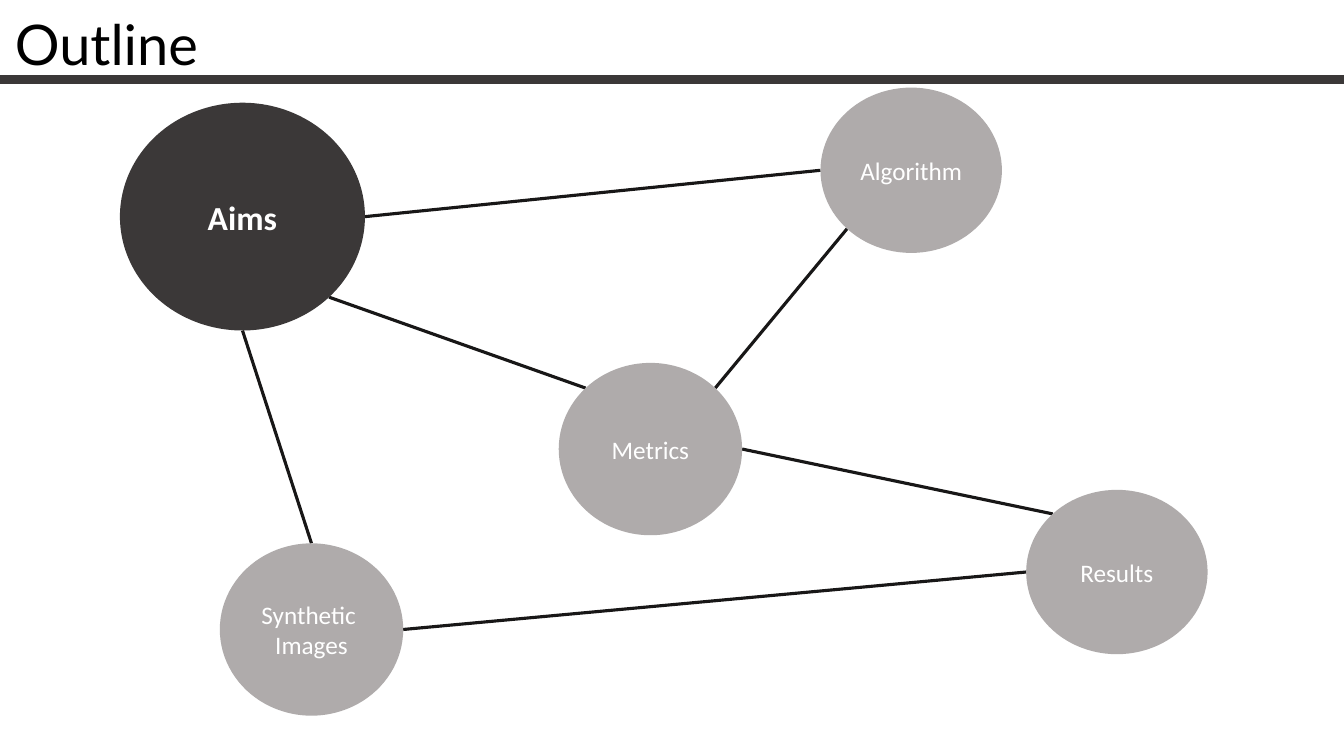
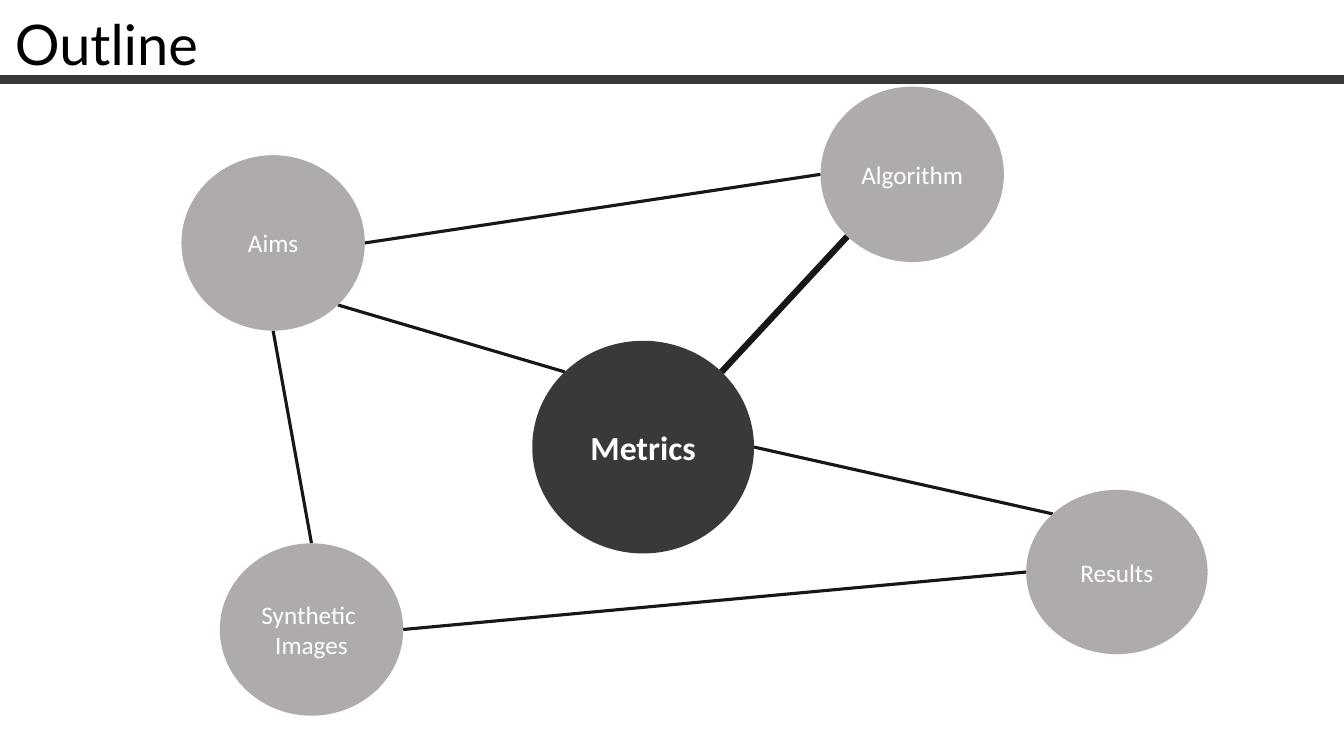
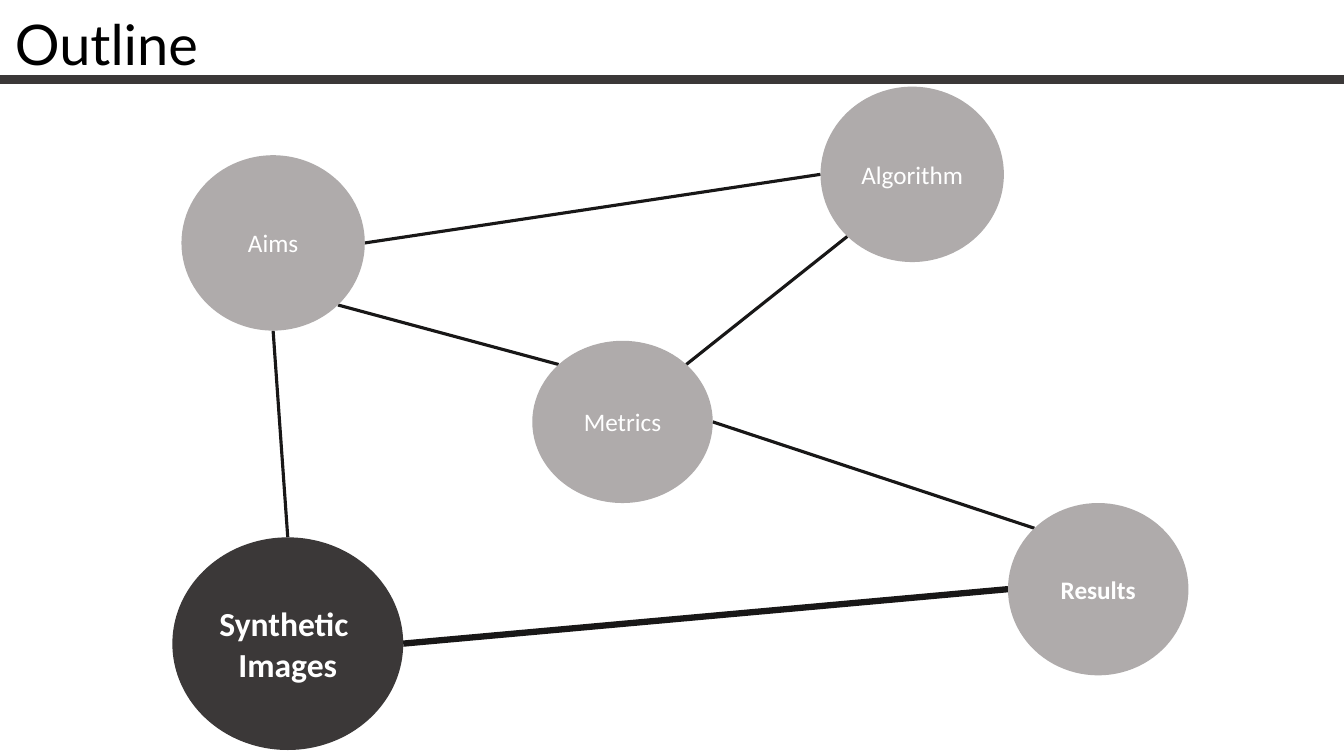
"""Three outline slides: a network of topics with the current one highlighted."""
import dataclasses
import math

import lxml.etree
import pptx
import pptx.dml.color
import pptx.enum.shapes
import pptx.enum.text
import pptx.oxml.ns
import pptx.util

Pt = pptx.util.Pt
MSO_SHAPE = pptx.enum.shapes.MSO_SHAPE
ALIGN = pptx.enum.text.PP_ALIGN
ANCHOR = pptx.enum.text.MSO_ANCHOR
AUTO_SIZE = pptx.enum.text.MSO_AUTO_SIZE

COLORS = {"dark": "3B3838", "muted": "AFABAB", "line": "181717",
          "title": "000000", "label": "FFFFFF"}
DIAGONAL = math.sqrt(0.5)
# Unit vectors from the centre of an ellipse to its connection sites.
SITES = {"top": (0, -1), "left": (-1, 0), "bottom": (0, 1), "right": (1, 0),
         "top_left": (-DIAGONAL, -DIAGONAL), "top_right": (DIAGONAL, -DIAGONAL),
         "bottom_left": (-DIAGONAL, DIAGONAL), "bottom_right": (DIAGONAL, DIAGONAL)}


@dataclasses.dataclass(frozen=True)
class Topic:
    """A circle of the network, in points."""
    label: str
    left: float
    top: float
    width: float
    height: float
    current: bool = False
    bold: bool = False

    def site(self, name: str) -> tuple[float, float]:
        """Return the point of a connection site."""
        dx, dy = SITES[name]
        return (self.left + self.width * (1 + dx) / 2,
                self.top + self.height * (1 + dy) / 2)


@dataclasses.dataclass(frozen=True)
class Link:
    """A line between the sites of two topics."""
    start: str
    start_site: str
    end: str
    end_site: str


LINKS = [
    Link("aims", "bottom_right", "metrics", "top_left"),
    Link("aims", "bottom", "images", "top"),
    Link("algorithm", "left", "aims", "right"),
    Link("results", "left", "images", "right"),
    Link("results", "top_left", "metrics", "right"),
    Link("algorithm", "bottom_left", "metrics", "top_right"),
]

AIMS = Topic("Aims", 129.6, 110.9, 131, 125.3)
ALGORITHM = Topic("Algorithm", 586.1, 61.9, 131, 125.3)
IMAGES = Topic("Synthetic \nImages", 157, 388.1, 131, 123.1)
RESULTS = Topic("Results", 733, 349.9, 129.6, 117.4)

# Each slide: its topics, and the pair of topics joined by a heavy line.
OUTLINES = [
    ({"aims": Topic("Aims", 85.7, 73.4, 175, 162.7, current=True, bold=True),
      "metrics": Topic("Metrics", 399.1, 259.2, 131, 123.1),
      "algorithm": Topic("Algorithm", 586.1, 62.6, 129.6, 118.1),
      "images": IMAGES, "results": RESULTS}, None),
    ({"aims": AIMS,
      "metrics": Topic("Metrics", 380.2, 243.4, 158.4, 151.9, current=True, bold=True),
      "algorithm": ALGORITHM, "images": IMAGES, "results": RESULTS},
     ("algorithm", "metrics")),
    ({"aims": AIMS,
      "metrics": Topic("Metrics", 380.2, 243.4, 128.9, 115.9),
      "algorithm": ALGORITHM,
      "images": Topic("Synthetic \nImages", 123.1, 383.8, 164.9, 151.9,
                      current=True, bold=True),
      "results": Topic("Results", 720, 359.3, 128.9, 123.1, bold=True)},
     ("results", "images")),
]


def rgb(name: str) -> pptx.dml.color.RGBColor:
    """Return a named colour."""
    return pptx.dml.color.RGBColor.from_string(COLORS[name])


def write_text(tf, text: str, *, size: float, font: str, color: str,
               bold: bool = False, align=ALIGN.LEFT, anchor=ANCHOR.TOP,
               wrap: bool = True) -> None:
    """Write one paragraph; a newline becomes a line break."""
    tf.word_wrap = wrap
    tf.vertical_anchor = anchor
    p = tf.paragraphs[0]
    p.alignment = align
    for i, line in enumerate(text.split("\n")):
        if i:
            p.add_line_break()
        r = p.add_run()
        r.text = line
        r.font.size, r.font.name, r.font.bold = Pt(size), font, bold
        r.font.color.rgb = rgb(color)


def add_filled(s, kind, left: float, top: float, width: float, height: float,
               color: str):
    """Add a flat preset shape without outline."""
    sp = s.shapes.add_shape(kind, Pt(left), Pt(top), Pt(width), Pt(height))
    sp.shadow.inherit = False
    sp.fill.solid()
    sp.fill.fore_color.rgb = rgb(color)
    sp.line.fill.background()
    return sp


def add_heading(s) -> None:
    """Add the rule across the slide and the title above it."""
    add_filled(s, MSO_SHAPE.MATH_MINUS, -174.2, 43.9, 1309.7, 25.9, "dark")
    box = s.shapes.add_textbox(Pt(3.6), Pt(3.6), Pt(153.4), Pt(55.4))
    write_text(box.text_frame, "Outline", size=40, font="Lato", color="title",
               wrap=False)
    box.text_frame.auto_size = AUTO_SIZE.SHAPE_TO_FIT_TEXT


def add_link(s, link: Link, topics: dict[str, Topic], width: float) -> None:
    """Draw a line between two topics."""
    x1, y1 = topics[link.start].site(link.start_site)
    x2, y2 = topics[link.end].site(link.end_site)
    line = s.shapes.add_connector(pptx.enum.shapes.MSO_CONNECTOR.STRAIGHT,
                                  Pt(x1), Pt(y1), Pt(x2), Pt(y2))
    line.line.color.rgb = rgb("line")
    line.line.width = Pt(width)
    sp_pr = line.element.find(pptx.oxml.ns.qn("p:spPr"))
    lxml.etree.SubElement(sp_pr, pptx.oxml.ns.qn("a:effectLst"))


def add_topic(s, topic: Topic) -> None:
    """Draw a labelled circle."""
    sp = add_filled(s, MSO_SHAPE.FLOWCHART_CONNECTOR, topic.left, topic.top,
                    topic.width, topic.height,
                    "dark" if topic.current else "muted")
    write_text(sp.text_frame, topic.label, size=24 if topic.current else 18,
               font="Calibri", color="label", bold=topic.bold,
               align=ALIGN.CENTER, anchor=ANCHOR.MIDDLE)


def main() -> None:
    """Build the slides and save them."""
    prs = pptx.Presentation()
    prs.slide_width, prs.slide_height = Pt(960), Pt(540)
    for topics, heavy in OUTLINES:
        s = prs.slides.add_slide(prs.slide_layouts[6])
        add_heading(s)
        for link in LINKS:
            add_link(s, link, topics,
                     4.5 if (link.start, link.end) == heavy else 2.25)
        for topic in topics.values():
            add_topic(s, topic)
    prs.save("out.pptx")


main()
